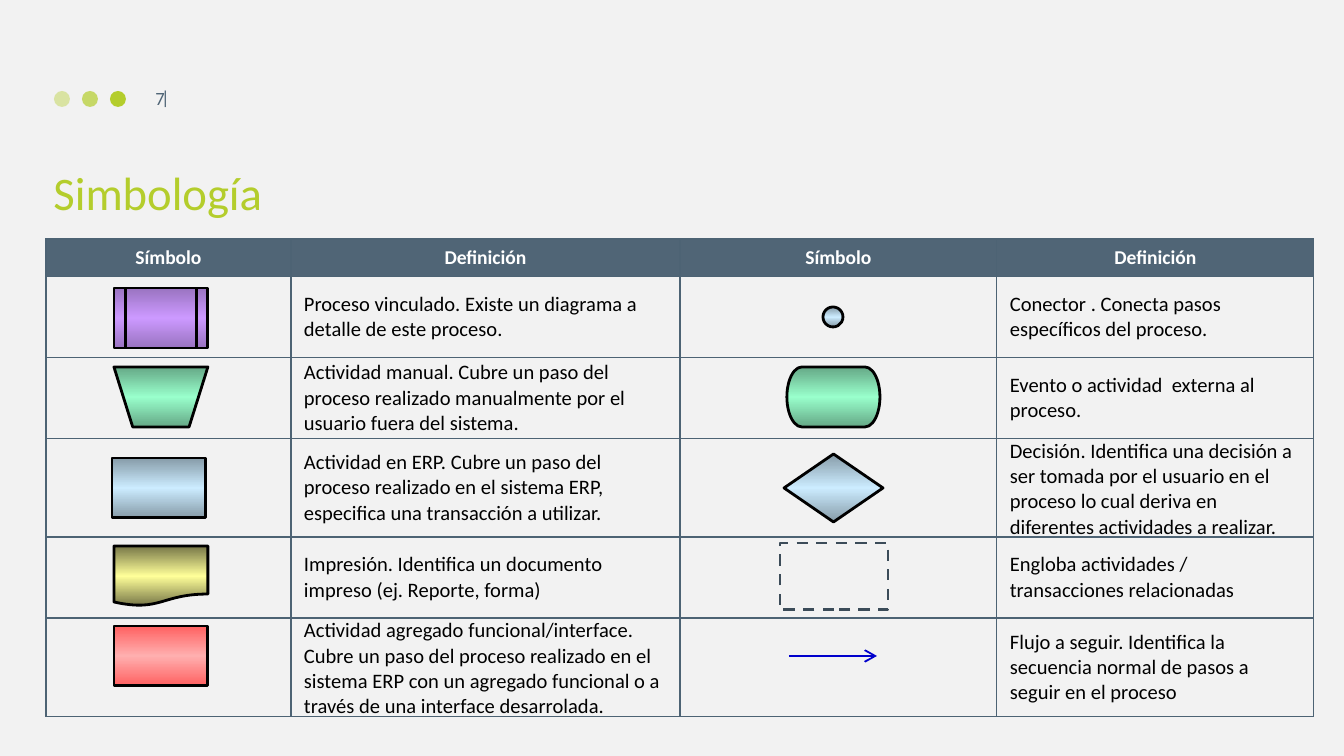
from pptx import Presentation
from pptx.dml.color import RGBColor
from pptx.enum.dml import MSO_LINE_DASH_STYLE as DASH
from pptx.enum.shapes import MSO_CONNECTOR, MSO_SHAPE as SHAPE
from pptx.enum.text import MSO_ANCHOR as ANCHOR, MSO_AUTO_SIZE as AUTO, PP_ALIGN as ALIGN
from pptx.oxml import parse_xml
from pptx.oxml.ns import qn
from pptx.util import Pt
from lxml.etree import SubElement

EMU_PER_PX = 914400 / 134.4
NS = 'xmlns:a="http://schemas.openxmlformats.org/drawingml/2006/main"'

LIME = RGBColor(0xB4, 0xCD, 0x2C)
SLATE = RGBColor(0x50, 0x65, 0x76)
BORDER = RGBColor(0x4D, 0x63, 0x74)
DASHED = RGBColor(0x3C, 0x4C, 0x59)
PAPER = RGBColor(0xF2, 0xF2, 0xF2)
WHITE = RGBColor(0xFF, 0xFF, 0xFF)
BLACK = RGBColor(0x00, 0x00, 0x00)
BLUE = RGBColor(0x00, 0x00, 0xCC)

PURPLE_FADE = (RGBColor(0x9A, 0x74, 0xC1), RGBColor(0xCC, 0x99, 0xFF))
GREEN_FADE = (RGBColor(0x65, 0xA8, 0x86), RGBColor(0x99, 0xFF, 0xCC))
BLUE_FADE = (RGBColor(0x86, 0x9B, 0xA8), RGBColor(0xCC, 0xEC, 0xFF))
YELLOW_FADE = (RGBColor(0x76, 0x76, 0x47), RGBColor(0xFF, 0xFF, 0x99))
RED_FADE = (RGBColor(0xFF, 0x61, 0x61), RGBColor(0xFF, 0xAF, 0xAF))

HEADERS = ("Símbolo", "Definición") * 2
DEFINITIONS = [
    ("Proceso vinculado. Existe un diagrama a detalle de este proceso.",
     "Conector . Conecta pasos específicos del proceso."),
    ("Actividad manual. Cubre un paso del proceso realizado manualmente por el usuario fuera del sistema.",
     "Evento o actividad  externa al proceso."),
    ("Actividad en ERP. Cubre un paso del proceso realizado en el sistema ERP, "
     "especifica una transacción a utilizar.",
     "Decisión. Identifica una decisión a ser tomada por el usuario en el proceso "
     "lo cual deriva en diferentes actividades a realizar."),
    ("Impresión. Identifica un documento impreso (ej. Reporte, forma)",
     "Engloba actividades / transacciones relacionadas"),
    ("Actividad agregado funcional/interface. Cubre un paso del proceso realizado en el sistema ERP "
     "con un agregado funcional o a través de una interface desarrolada.",
     "Flujo a seguir. Identifica la secuencia normal de pasos a seguir en el proceso"),
]
SYMBOLS = [
    (SHAPE.FLOWCHART_PREDEFINED_PROCESS, (114, 288, 94, 60), PURPLE_FADE),
    (SHAPE.FLOWCHART_MANUAL_OPERATION, (114, 367, 94, 60), GREEN_FADE),
    (SHAPE.RECTANGLE, (112, 458, 94, 60), BLUE_FADE),
    (SHAPE.FLOWCHART_DOCUMENT, (114, 546, 94, 60), YELLOW_FADE),
    (SHAPE.RECTANGLE, (114, 626, 94, 60), RED_FADE),
    (SHAPE.FLOWCHART_CONNECTOR, (823, 307, 20, 20), BLUE_FADE),
    (SHAPE.FLOWCHART_TERMINATOR, (787, 367, 93, 60), GREEN_FADE),
    (SHAPE.DIAMOND, (784, 454, 99, 68), BLUE_FADE),
]


def px(*values):
    return [round(v * EMU_PER_PX) for v in values]


def assign(target, values):
    for name, value in values.items():
        setattr(target, name, value)


class SlideBuilder:
    font = "Calibri"

    def __init__(self, slide):
        self.slide = slide
        fill = slide.background.fill
        fill.solid()
        fill.fore_color.rgb = PAPER

    def add_text(self, tf, text, size, color, align=ALIGN.LEFT, bold=False):
        p = tf.paragraphs[0]
        p.alignment = align
        r = p.add_run()
        r.text = text
        assign(r.font, {"name": self.font, "size": Pt(size), "bold": bold})
        r.font.color.rgb = color
        return p

    def title(self, text, box):
        sp = self.slide.shapes.title
        assign(sp, dict(zip(("left", "top", "width", "height"), px(*box))))
        assign(sp.text_frame, {"vertical_anchor": ANCHOR.BOTTOM, "auto_size": AUTO.NONE, "word_wrap": True})
        self.add_text(sp.text_frame, text, 25, LIME)

    def label(self, text, box, frame, align=ALIGN.LEFT):
        tf = self.slide.shapes.add_textbox(*px(*box)).text_frame
        assign(tf, frame)
        return self.add_text(tf, text, 10, SLATE, align)

    def shape(self, kind, box):
        sp = self.slide.shapes.add_shape(kind, *px(*box))
        sp.shadow.inherit = False
        return sp

    def dot(self, box, opacity):
        sp = self.shape(SHAPE.OVAL, box)
        sp.fill.solid()
        sp.fill.fore_color.rgb = LIME
        sp.line.fill.background()
        if opacity < 100:
            color = sp._element.spPr.find(qn("a:solidFill"))[0]
            SubElement(color, qn("a:alpha"), val=str(opacity * 1000))

    def outline(self, line, color, width):
        line.color.rgb = color
        line.width = Pt(width)

    def symbol(self, kind, box, fade):
        sp = self.shape(kind, box)
        edge, middle = fade
        stops = "".join(f'<a:gs pos="{pos}"><a:srgbClr val="{color}"/></a:gs>'
                        for pos, color in ((0, edge), (50000, middle), (100000, edge)))
        sp._element.spPr.find(qn("a:prstGeom")).addnext(parse_xml(
            f'<a:gradFill {NS} rotWithShape="1"><a:gsLst>{stops}</a:gsLst>'
            '<a:lin ang="5400000" scaled="1"/></a:gradFill>'))
        self.outline(sp.line, BLACK, 1.5)

    def dashed_frame(self, box):
        sp = self.shape(SHAPE.RECTANGLE, box)
        sp.fill.background()
        self.outline(sp.line, DASHED, 1.5)
        sp.line.dash_style = DASH.DASH

    def arrow(self, x1, y1, x2, y2):
        line = self.slide.shapes.add_connector(MSO_CONNECTOR.STRAIGHT, *px(x1, y1, x2, y2))
        self.outline(line.line, BLUE, 1)
        spPr = line._element.spPr
        SubElement(spPr.find(qn("a:ln")), qn("a:tailEnd"), type="arrow")
        SubElement(spPr, qn("a:effectLst"))

    def cell(self, cell, text, header):
        pad = 7 if header else 0
        margins = dict(zip(("margin_left", "margin_top", "margin_right", "margin_bottom"), px(13, pad, 13, pad)))
        assign(cell, {"vertical_anchor": ANCHOR.MIDDLE, **margins})
        if header:
            cell.fill.solid()
            cell.fill.fore_color.rgb = SLATE
            self.add_text(cell.text_frame, text, 10.5, WHITE, ALIGN.CENTER, True)
        else:
            cell.fill.background()
            if text:
                self.add_text(cell.text_frame, text, 11, BLACK)
        tcPr = cell._tc.get_or_add_tcPr()
        for i, side in enumerate("LRTB"):
            tcPr.insert(i, parse_xml(
                f'<a:ln{side} {NS} w="{Pt(0.75)}"><a:solidFill><a:srgbClr val="{BORDER}"/>'
                f'</a:solidFill></a:ln{side}>'))

    def table(self, left, top, widths, heights, rows):
        box = px(left, top, sum(widths), sum(heights))
        table = self.slide.shapes.add_table(len(rows), len(widths), *box).table
        table.horz_banding = False
        for column, width in zip(table.columns, px(*widths)):
            column.width = width
        for row, height in zip(table.rows, px(*heights)):
            row.height = height
        for r, texts in enumerate(rows):
            for c, text in enumerate(texts):
                self.cell(table.cell(r, c), text, r == 0)


def main():
    prs = Presentation()
    prs.slide_width, prs.slide_height = px(1344, 756)
    page = SlideBuilder(prs.slides.add_slide(prs.slide_layouts[5]))

    for i, opacity in enumerate((40, 70, 100)):
        page.dot((54 + 28 * i, 91, 16, 16), opacity)
    bar = page.label("|", (161, 89, 8, 20),
                     {"word_wrap": False, "auto_size": AUTO.SHAPE_TO_FIT_TEXT, "margin_bottom": 0})
    bar.line_spacing = 0.5
    page.title("Simbología", (40, 101, 1274, 126))
    page.label("7", (116, 78, 62, 40), {"word_wrap": True, "vertical_anchor": ANCHOR.MIDDLE}, ALIGN.RIGHT)

    rows = [HEADERS] + [("", left, "", right) for left, right in DEFINITIONS]
    page.table(46, 239, (245, 389, 317, 317), [36] + [81] * len(DEFINITIONS), rows)
    for kind, box, fade in SYMBOLS:
        page.symbol(kind, box, fade)
    page.dashed_frame((780, 543, 108, 67))
    page.arrow(789, 656, 877, 656)
    prs.save("out.pptx")


if __name__ == "__main__":
    main()
